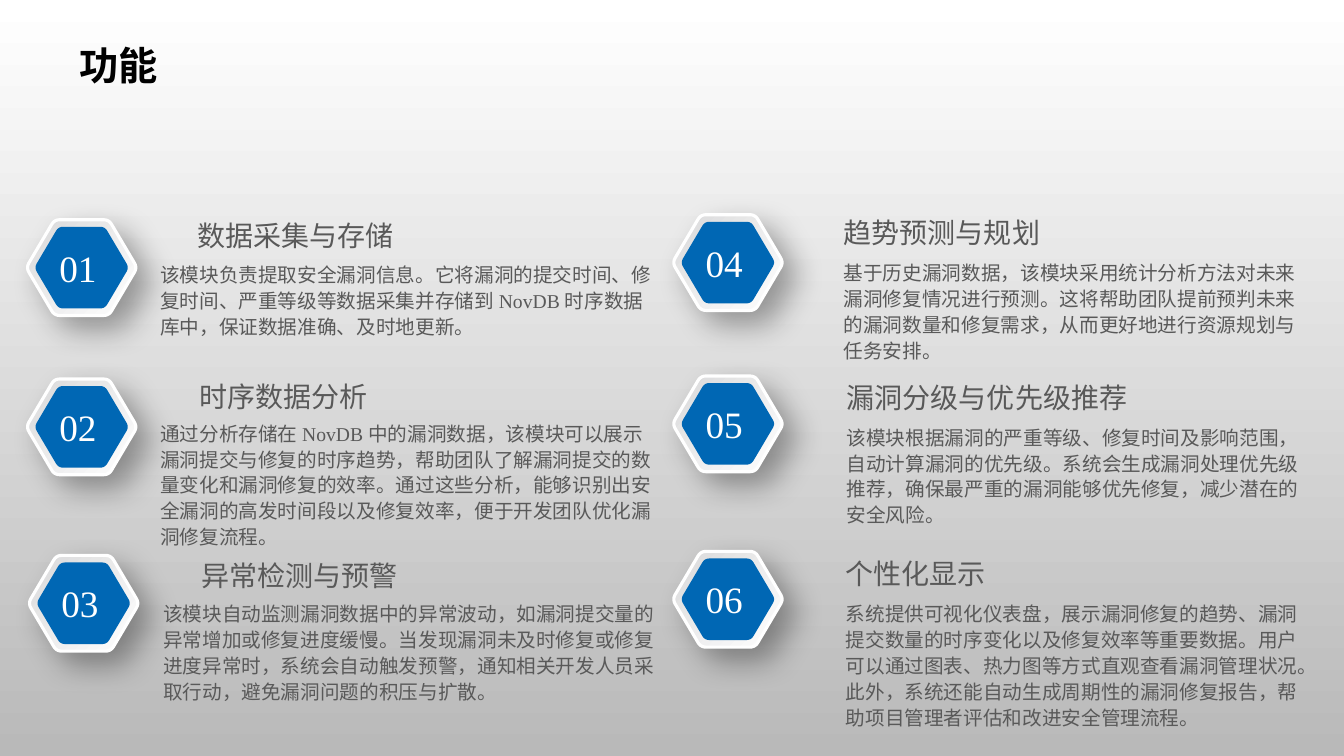
from collections import namedtuple
from math import hypot

from lxml.etree import SubElement
from pptx import Presentation
from pptx.dml.color import RGBColor
from pptx.enum.text import MSO_ANCHOR, MSO_AUTO_SIZE, PP_ALIGN
from pptx.oxml.ns import qn
from pptx.util import Inches, Pt

WHITE = RGBColor(0xFF, 0xFF, 0xFF)
BLACK = RGBColor(0, 0, 0)
BACKDROP_GREY = RGBColor(0xB9, 0xB9, 0xB9)
RIM_GREY = RGBColor(0xD9, 0xD9, 0xDA)
TEXT_GREY = RGBColor(0x59, 0x59, 0x59)
BLUE = RGBColor(0x00, 0x67, 0xB4)
SERIF = "Times New Roman"

Module = namedtuple("Module", "badge heading_at heading_width body_at body_width lines heading body")

MODULES = [
    Module((0.27, 2.18), (1.86, 2.12), 2.35, (1.49, 2.54), 5.09, 3, "数据采集与存储",
           "该模块负责提取安全漏洞信息。它将漏洞的提交时间、修复时间、严重等级等数据采集并存储到 NovDB 时序数据库中，保证数据准确、及时地更新。"),
    Module((0.27, 3.76), (1.88, 3.72), 2.08, (1.49, 4.11), 5.09, 5, "时序数据分析",
           "通过分析存储在 NovDB 中的漏洞数据，该模块可以展示漏洞提交与修复的时序趋势，帮助团队了解漏洞提交的数量变化和漏洞修复的效率。"
           "通过这些分析，能够识别出安全漏洞的高发时间段以及修复效率，便于开发团队优化漏洞修复流程。"),
    Module((0.29, 5.51), (1.9, 5.49), 2.18, (1.52, 5.9), 5.16, 4, "异常检测与预警",
           "该模块自动监测漏洞数据中的异常波动，如漏洞提交量的异常增加或修复进度缓慢。"
           "当发现漏洞未及时修复或修复进度异常时，系统会自动触发预警，通知相关开发人员采取行动，避免漏洞问题的积压与扩散。"),
    Module((6.68, 2.13), (8.27, 2.09), 2.2, (8.27, 2.52), 4.77, 4, "趋势预测与规划",
           "基于历史漏洞数据，该模块采用统计分析方法对未来漏洞修复情况进行预测。"
           "这将帮助团队提前预判未来的漏洞数量和修复需求，从而更好地进行资源规划与任务安排。"),
    Module((6.68, 3.73), (8.3, 3.73), 3.04, (8.3, 4.15), 4.77, 4, "漏洞分级与优先级推荐",
           "该模块根据漏洞的严重等级、修复时间及影响范围，自动计算漏洞的优先级。"
           "系统会生成漏洞处理优先级推荐，确保最严重的漏洞能够优先修复，减少潜在的安全风险。"),
    Module((6.68, 5.47), (8.29, 5.47), 1.62, (8.29, 5.9), 4.77, 5, "个性化显示",
           "系统提供可视化仪表盘，展示漏洞修复的趋势、漏洞提交数量的时序变化以及修复效率等重要数据。"
           "用户可以通过图表、热力图等方式直观查看漏洞管理状况。"
           "此外，系统还能自动生成周期性的漏洞修复报告，帮助项目管理者评估和改进安全管理流程。"),
]


def set_gradient(fill, start, end, angle):
    """Fill with two colours running at a counter-clockwise angle."""
    fill.gradient()
    fill.gradient_angle = angle
    for stop, color in zip(fill.gradient_stops, (start, end)):
        stop.color.rgb = color


def towards(start, end, distance):
    """Return the point a given distance from start on the way to end."""
    share = distance / hypot(end[0] - start[0], end[1] - start[1])
    return tuple(a + (b - a) * share for a, b in zip(start, end))


def hexagon_points(left, top, width, height):
    """Trace a hexagon with softly rounded corners inside the box."""
    corners = [(left + width * x, top + height * y) for x, y in
               ((0.25, 0), (0.75, 0), (1.01, 0.5), (0.75, 1), (0.25, 1), (-0.01, 0.5))]
    points = []
    for i, corner in enumerate(corners):
        before = towards(corner, corners[i - 1], 0.05 * width)
        after = towards(corner, corners[(i + 1) % 6], 0.05 * width)
        for t in (0, 0.2, 0.4, 0.6, 0.8, 1):
            points.append(tuple(Inches((1 - t) ** 2 * a + 2 * t * (1 - t) * c + t ** 2 * b)
                                for a, c, b in zip(before, corner, after)))
    return points


def add_hexagon(shapes, left, top, width, height):
    """Add a rounded hexagon that fills the box."""
    start, *rest = hexagon_points(left, top, width, height)
    builder = shapes.build_freeform(*start)
    builder.add_line_segments(rest)
    hexagon = builder.convert_to_shape()
    hexagon.shadow.inherit = False
    return hexagon


def cast_shadow(shape):
    """Give the shape a soft shadow to the lower right."""
    effects = shape._element.spPr.find(qn("a:effectLst"))
    shadow = SubElement(effects, qn("a:outerShdw"), blurRad=str(Pt(22)), dist=str(Pt(13)),
                        dir="2700000", algn="tl", rotWithShape="0")
    color = SubElement(shadow, qn("a:srgbClr"), val=str(BLACK))
    SubElement(color, qn("a:alpha"), val="35000")


def add_text(shapes, text, left, top, width, height, size, color, wrap=True, spacing=None):
    """Add one paragraph of serif text in the box."""
    frame = shapes.add_textbox(Inches(left), Inches(top), Inches(width), Inches(height)).text_frame
    frame.word_wrap = wrap
    paragraph = frame.paragraphs[0]
    paragraph.text = text
    paragraph.line_spacing = spacing
    paragraph.font.size = Pt(size)
    paragraph.font.name = SERIF
    paragraph.font.color.rgb = color


def add_badge(slide, number, left, top):
    """Add a numbered hexagon with a raised rim."""
    shapes = slide.shapes.add_group_shape().shapes
    rim = add_hexagon(shapes, left, top, 1.08, 0.95)
    set_gradient(rim.fill, RIM_GREY, WHITE, 315)
    rim.line.color.rgb = WHITE
    rim.line.width = Pt(2.25)
    cast_shadow(rim)
    face = add_hexagon(shapes, left + 0.08, top + 0.07, 0.92, 0.81)
    face.fill.solid()
    face.fill.fore_color.rgb = BLUE
    face.line.fill.background()
    add_text(shapes, f"{number:02}", left + 0.22, top + 0.2, 0.58, 0.55, 26.6, WHITE, wrap=False)


def add_module(slide, number, module):
    """Add a badge with its heading and description."""
    add_badge(slide, number, *module.badge)
    add_text(slide.shapes, module.heading, *module.heading_at, module.heading_width, 0.44, 20, TEXT_GREY)
    add_text(slide.shapes, module.body, *module.body_at, module.body_width,
             0.08 + 0.26 * module.lines, 14, TEXT_GREY, spacing=1.1)


def add_title(slide, text, left, top, width, height):
    """Place and format the slide title."""
    title = slide.shapes.title
    title.left, title.top, title.width, title.height = map(Inches, (left, top, width, height))
    frame = title.text_frame
    frame.text = text
    frame.word_wrap = False
    frame.auto_size = MSO_AUTO_SIZE.NONE
    frame.vertical_anchor = MSO_ANCHOR.TOP
    paragraph = frame.paragraphs[0]
    paragraph.alignment = PP_ALIGN.CENTER
    paragraph.font.size = Pt(28)
    paragraph.font.bold = True
    paragraph.font.name = "Calibri"
    paragraph.font.color.rgb = BLACK


def main():
    """Build the feature overview slide."""
    deck = Presentation()
    deck.slide_width, deck.slide_height = Inches(13.33), Inches(7.5)
    slide = deck.slides.add_slide(deck.slide_layouts[5])
    set_gradient(slide.background.fill, WHITE, BACKDROP_GREY, 270)
    add_title(slide, "功能", 0.68, 0.36, 0.99, 0.57)
    for number, module in enumerate(MODULES, 1):
        add_module(slide, number, module)
    deck.save("out.pptx")


if __name__ == "__main__":
    main()
